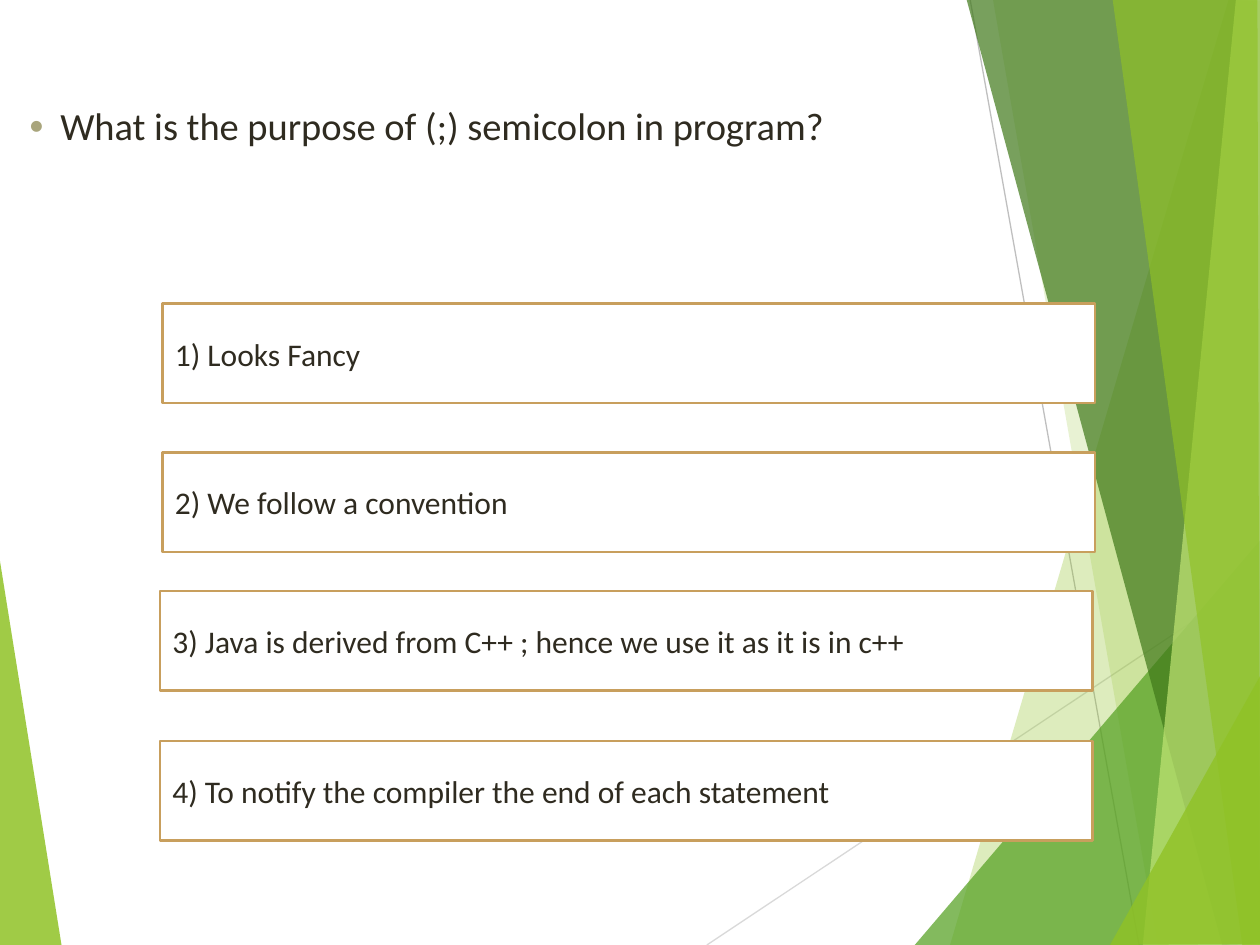
from lxml import etree
from pptx import Presentation
from pptx import util as u
from pptx.dml.color import RGBColor
from pptx.enum import shapes, text
from pptx.oxml import ns

LIME = RGBColor(0x90, 0xC2, 0x26)
PALE_LIME = RGBColor(0xC0, 0xE4, 0x74)
GREEN = RGBColor(0x54, 0xA0, 0x21)
DARK_GREEN = RGBColor(0x3F, 0x78, 0x19)
LIGHT_GRAY = RGBColor(0xD9, 0xD9, 0xD9)
GRAY = RGBColor(0xBF, 0xBF, 0xBF)
WHITE = RGBColor(0xFF, 0xFF, 0xFF)
TAN = RGBColor(0xC8, 0x9F, 0x5D)
INK = RGBColor(0x2F, 0x2B, 0x20)

LEFT_FACET = (LIME, 85, [(-0.01, 4.39), (0.49, 7.51), (-0.01, 7.5)])
RAYS = [(LIGHT_GRAY, (5.61, 7.5), (10.01, 4.57)), (GRAY, (7.7, 0), (9.04, 7.5))]
RIGHT_FACETS = [
    (LIME, 30, [(9.75, 0), (7.54, 7.5), (10.02, 7.51), (10.01, 0.01)]),
    (LIME, 20, [(7.88, -0.01), (9.19, 7.5), (10.01, 7.5), (10.01, -0.01)]),
    (GREEN, 72, [(7.26, 7.5), (10, 4.29), (10.01, 7.5)]),
    (DARK_GREEN, 70, [(7.67, -0.01), (9.7, 7.5), (10.01, 7.49), (10.01, -0.01)]),
    (PALE_LIME, 70, [(9.81, -0.01), (9.07, 7.5), (10.01, 7.5), (10, -0.01)]),
    (LIME, 65, [(8.83, -0.01), (9.86, 7.5), (10, 7.5), (9.98, -0.01)]),
    (LIME, 80, [(8.81, 7.5), (10.01, 5.35), (10.01, 7.49)]),
]
ANSWERS = [
    (1.29, 2.41, "1) Looks Fancy"),
    (1.29, 3.59, "2) We follow a convention"),
    (1.27, 4.69, "3) Java is derived from C++ ; hence we use it as it is in c++"),
    (1.27, 5.88, "4) To notify the compiler the end of each statement"),
]


class QuizSlide:
    """Hold the text style and the current slide, and draw each kind of element."""

    def __init__(self, slide):
        self.slide = slide
        self.font = {"name": "Calibri", "size": u.Pt(18)}
        self.frame = {
            "word_wrap": True,
            "margin_left": u.Inches(0.1),
            "margin_right": u.Inches(0.1),
            "margin_top": u.Inches(0.05),
            "margin_bottom": u.Inches(0.05),
        }

    def apply(self, target, values):
        for name, value in values.items():
            setattr(target, name, value)

    def add_words(self, shape, words, **changes):
        paragraph = shape.text_frame.paragraphs[0]
        paragraph.alignment = text.PP_ALIGN.LEFT
        run = paragraph.add_run()
        run.text = words
        self.apply(run.font, {**self.font, **changes})
        run.font.color.rgb = INK
        return paragraph

    def facet(self, color, opacity, points):
        corners = [(u.Inches(x), u.Inches(y)) for x, y in points]
        builder = self.slide.shapes.build_freeform(*corners[0])
        builder.add_line_segments(corners[1:], close=True)
        shape = builder.convert_to_shape()
        shape.shadow.inherit = False
        shape.fill.solid()
        shape.fill.fore_color.rgb = color
        shape.line.fill.background()
        tint = shape._element.spPr.find(ns.qn("a:solidFill")).find(ns.qn("a:srgbClr"))
        etree.SubElement(tint, ns.qn("a:alpha"), val=str(opacity * 1000))

    def ray(self, color, start, end):
        connector = self.slide.shapes.add_connector(
            shapes.MSO_CONNECTOR.STRAIGHT, *(u.Inches(value) for value in start + end))
        connector.line.color.rgb = color
        connector.line.width = u.Pt(0.75)
        etree.SubElement(connector._element.spPr, ns.qn("a:effectLst"))

    def question(self, words):
        box = self.slide.shapes.add_textbox(
            u.Inches(0), u.Inches(0.76), u.Inches(8.62), u.Inches(6))
        self.apply(box.text_frame, self.frame)
        paragraph = self.add_words(box, words, size=u.Pt(22))
        properties = paragraph._p.get_or_add_pPr()
        indents = {"marL": u.Inches(0.38), "indent": u.Inches(-0.25)}
        for name, value in indents.items():
            properties.set(name, str(int(value)))
        bullet_color = etree.SubElement(properties, ns.qn("a:buClr"))
        etree.SubElement(bullet_color, ns.qn("a:srgbClr"), val="A9A57C")
        etree.SubElement(properties, ns.qn("a:buSzPct"), val="80000")
        etree.SubElement(properties, ns.qn("a:buFont"), typeface="Calibri")
        etree.SubElement(properties, ns.qn("a:buChar"), char="•")

    def answer(self, left, top, words):
        shape = self.slide.shapes.add_shape(
            shapes.MSO_SHAPE.RECTANGLE,
            u.Inches(left), u.Inches(top), u.Inches(7.4), u.Inches(0.79))
        shape.shadow.inherit = False
        shape.fill.solid()
        shape.fill.fore_color.rgb = WHITE
        shape.line.color.rgb = TAN
        shape.line.width = u.Pt(1.5)
        self.apply(shape.text_frame, self.frame)
        shape.text_frame.vertical_anchor = text.MSO_ANCHOR.MIDDLE
        self.add_words(shape, words)


def main():
    presentation = Presentation()
    presentation.slide_width = u.Inches(10)
    presentation.slide_height = u.Inches(7.5)
    quiz = QuizSlide(presentation.slides.add_slide(presentation.slide_layouts[6]))
    quiz.facet(*LEFT_FACET)
    for ray in RAYS:
        quiz.ray(*ray)
    for facet in RIGHT_FACETS:
        quiz.facet(*facet)
    quiz.question("What is the purpose of (;) semicolon in program?")
    for answer in ANSWERS:
        quiz.answer(*answer)
    presentation.save("out.pptx")


if __name__ == "__main__":
    main()
